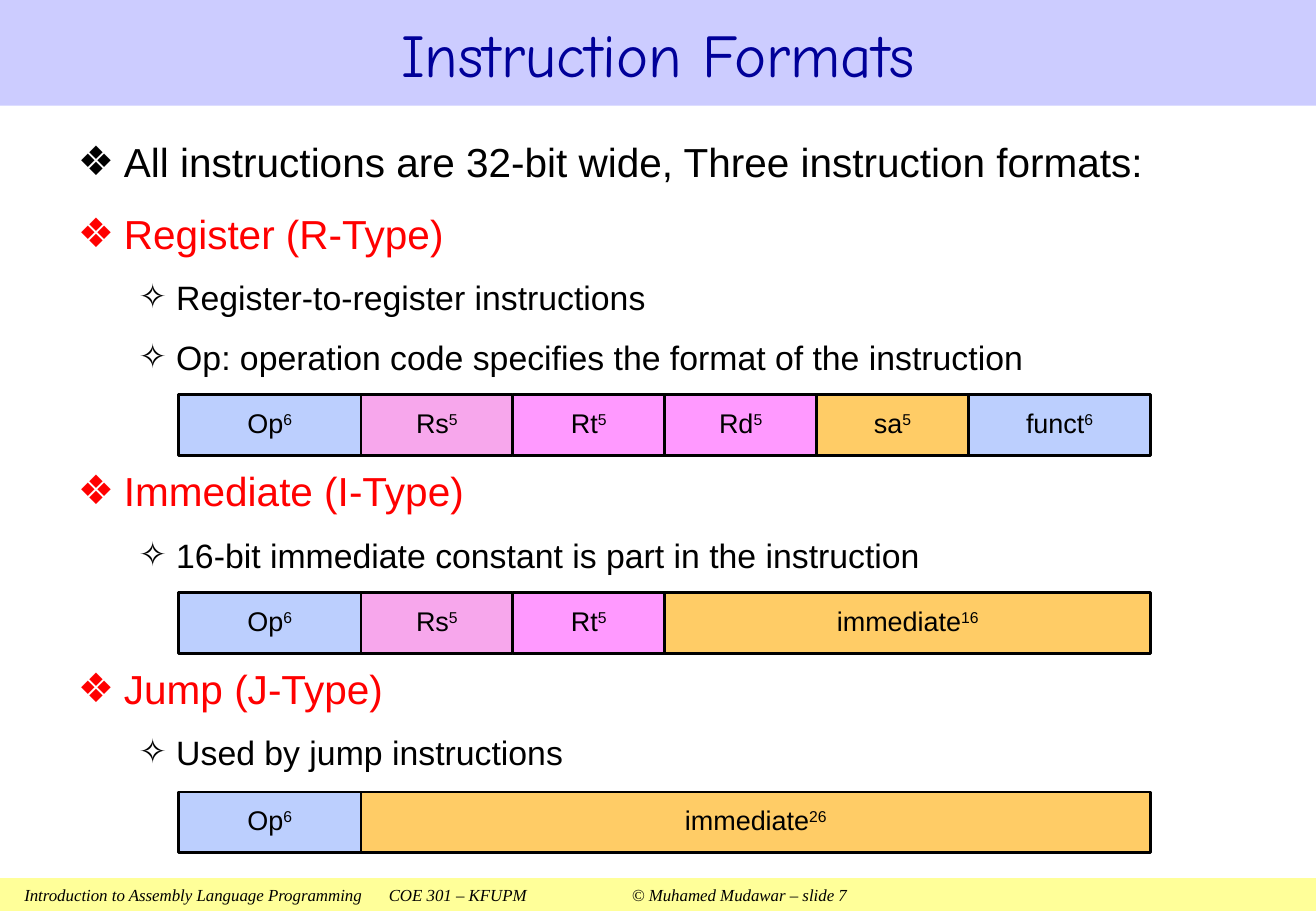
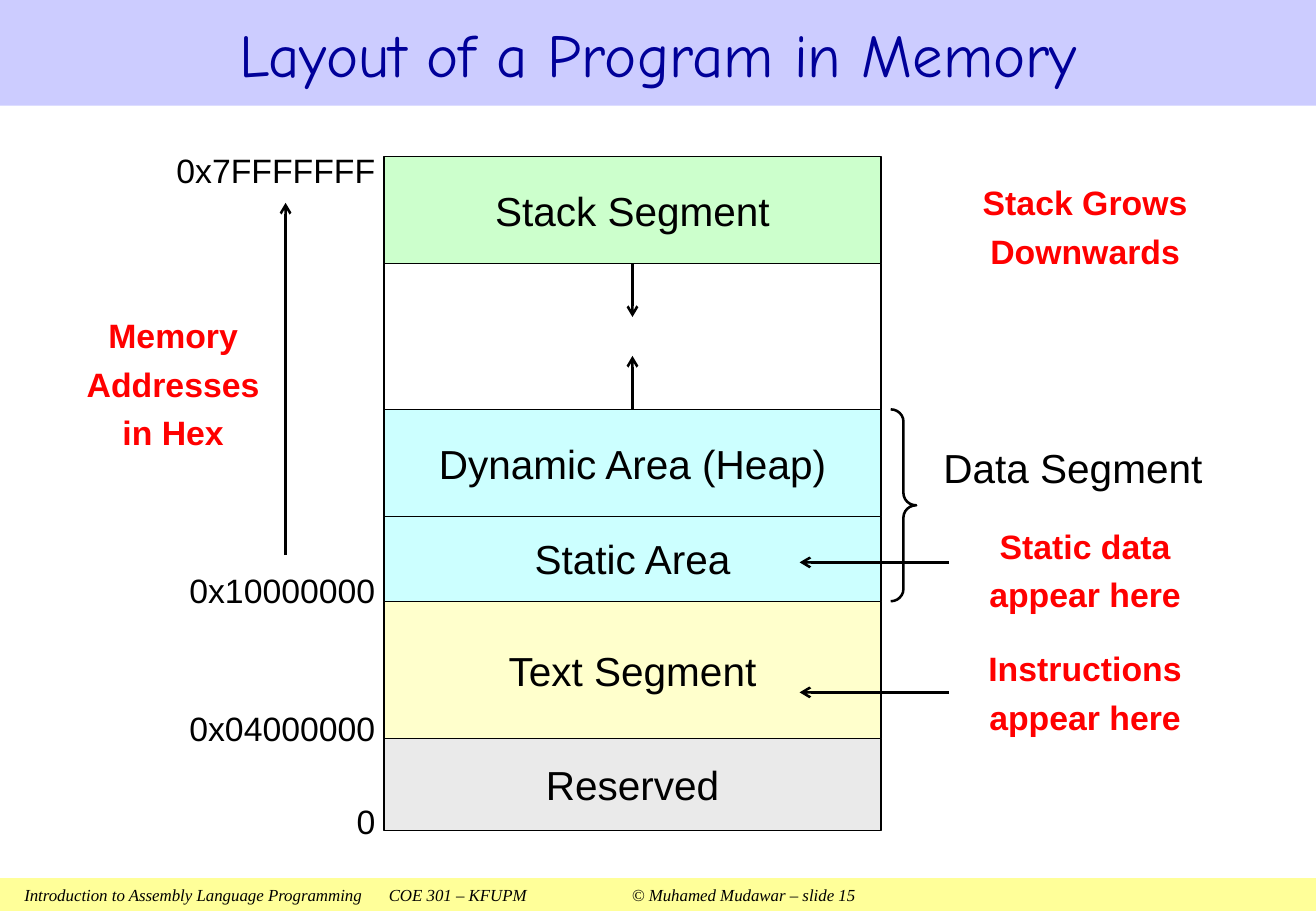
from itertools import accumulate

from lxml import etree
from pptx import Presentation
from pptx.dml.color import RGBColor
from pptx.enum.shapes import MSO_CONNECTOR, MSO_SHAPE
from pptx.enum.text import MSO_ANCHOR, MSO_AUTO_SIZE, PP_ALIGN
from pptx.oxml.ns import qn
from pptx.util import Inches, Pt

RECT, BRACE = MSO_SHAPE.RECTANGLE, MSO_SHAPE.RIGHT_BRACE
STRAIGHT = MSO_CONNECTOR.STRAIGHT
LEFT, CENTER, RIGHT = PP_ALIGN.LEFT, PP_ALIGN.CENTER, PP_ALIGN.RIGHT
TOP, MIDDLE = MSO_ANCHOR.TOP, MSO_ANCHOR.MIDDLE
NO_AUTOFIT = MSO_AUTO_SIZE.NONE

COLORS = {
    "black": "000000", "red": "FF0000", "title": "000099",
    "title band": "CCCCFF", "footer band": "FFFF99",
    "blue": "BCCFFE", "rose": "F7A7EC", "pink": "FF99FF", "orange": "FFCC66",
    "stack": "CCFFCC", "data": "CCFFFF", "text": "FFFFCC", "reserved": "EAEAEA",
}
SLIDE_W, SLIDE_H = 10.83, 7.5
TITLE_H, FOOTER_H = 0.87, 0.27
FOOTER = ("Introduction to Assembly Language Programming\tCOE 301 – KFUPM"
          "\t© Muhamed Mudawar – slide {}")
FOOTER_TABS = (3, 5)

# Slide 7: (level, text, colour, space before in points)
FORMAT_LIST = [
    (0, "All instructions are 32-bit wide, Three instruction formats:", "black", 0),
    (0, "Register (R-Type)", "red", 11),
    (1, "Register-to-register instructions", "black", 9),
    (1, "Op: operation code specifies the format of the instruction", "black", 9),
    (0, "Immediate (I-Type)", "red", 50),
    (1, "16-bit immediate constant is part in the instruction", "black", 9),
    (0, "Jump (J-Type)", "red", 50),
    (1, "Used by jump instructions", "black", 9),
]
# Per level: bullet, left margin, hanging indent, text size
LEVELS = [("❖", 0.38, -0.38, 24), ("✧", 0.81, -0.31, 20)]
# Top of each format, then its fields: (name, bits, colour)
OP, RS, RT = ("Op", 6, "blue"), ("Rs", 5, "rose"), ("Rt", 5, "pink")
FORMATS = [
    (3.25, [OP, RS, RT, ("Rd", 5, "pink"), ("sa", 5, "orange"),
            ("funct", 6, "blue")]),
    (4.88, [OP, RS, RT, ("immediate", 16, "orange")]),
    (6.52, [OP, ("immediate", 26, "orange")]),
]
FIELD_LEFT, FIELD_H, BIT_W = 1.47, 0.5, 0.25

# Slide 15: (segment, height, colour), from the highest address down
SEGMENTS = [
    ("Stack Segment", 0.88, "stack"),
    ("", 1.2, None),
    ("Dynamic Area (Heap)", 0.88, "data"),
    ("Static Area", 0.7, "data"),
    ("Text Segment", 1.13, "text"),
    ("Reserved", 0.76, "reserved"),
]
MEMORY_LEFT, MEMORY_TOP, MEMORY_W = 3.16, 1.29, 4.09
# (address, index of the segment boundary, rise above it)
ADDRESSES = [("0x7FFFFFFF", 0, 0.06), ("0x10000000", 4, 0.26),
             ("0x04000000", 5, 0.25), ("0", 6, 0.25)]
NOTES = [
    (["Memory", "Addresses", "in Hex"], (0.57, 2.43, 1.71, 1.39)),
    (["Stack Grows", "Downwards"], (7.94, 1.36, 1.98, 0.94)),
    (["Static data", "appear here"], (7.94, 4.19, 1.98, 0.94)),
    (["Instructions", "appear here"], (7.94, 5.2, 1.98, 0.94)),
]
NOTE_ARROW_YS = (4.63, 5.7)


def rgb(name):
    """Return the named colour."""
    return RGBColor.from_string(COLORS[name])


def write(paragraph, text, size=20, font="Arial", color="black", bold=False,
          italic=False, align=LEFT, spacing=None, raised=""):
    """Put formatted text in a paragraph, with an optional superscript."""
    paragraph.alignment = align
    if spacing:
        paragraph.line_spacing = spacing
    for part in filter(None, (text, raised)):
        run = paragraph.add_run()
        run.text = part
        run.font.size, run.font.name = Pt(size), font
        run.font.bold, run.font.italic = bold, italic
        run.font.color.rgb = rgb(color)
    if raised:
        run.font._element.set("baseline", "30000")


def write_lines(frame, lines, inset=(0, 0), anchor=MIDDLE, **style):
    """Fill a text frame, one paragraph a line; inset is (side, top)."""
    frame.word_wrap = True
    frame.vertical_anchor = anchor
    frame.margin_left = frame.margin_right = Inches(inset[0])
    frame.margin_top = frame.margin_bottom = Inches(inset[1])
    for i, line in enumerate(lines):
        write(frame.add_paragraph() if i else frame.paragraphs[0], line, **style)


def place(shape, box):
    """Move and size a placeholder."""
    shape.left, shape.top, shape.width, shape.height = map(Inches, box)


def add_box(slide, box, fill=None, line=None, kind=RECT):
    """Add a preset shape; line is the outline width in points."""
    shape = slide.shapes.add_shape(kind, *map(Inches, box))
    shape.shadow.inherit = False
    if fill:
        shape.fill.solid()
        shape.fill.fore_color.rgb = rgb(fill)
    else:
        shape.fill.background()
    if line:
        shape.line.color.rgb = rgb("black")
        shape.line.width = Pt(line)
    else:
        shape.line.fill.background()
    return shape


def add_label(slide, box, lines, **style):
    """Add a text box."""
    label = slide.shapes.add_textbox(*map(Inches, box))
    write_lines(label.text_frame, lines, **style)


def add_arrow(slide, start, end):
    """Add a line with an open arrowhead at its end."""
    arrow = slide.shapes.add_connector(STRAIGHT, *map(Inches, start + end))
    arrow.line.color.rgb = rgb("black")
    arrow.line.width = Pt(1.5)
    etree.SubElement(arrow.line._get_or_add_ln(), qn("a:tailEnd"), type="arrow")
    etree.SubElement(arrow._element.spPr, qn("a:effectLst"))


def add_slide(prs, layout, title, number):
    """Add a slide with the shared footer and title bands."""
    slide = prs.slides.add_slide(prs.slide_layouts[layout])
    footer = add_box(slide, (0, SLIDE_H - FOOTER_H, SLIDE_W, FOOTER_H), "footer band")
    write_lines(footer.text_frame, [FOOTER.format(number)], inset=(0.2, 0.05),
                size=10, font="Times New Roman", italic=True)
    tabs = etree.SubElement(footer.text_frame.paragraphs[0]._p.get_or_add_pPr(),
                            qn("a:tabLst"))
    for stop in FOOTER_TABS:
        etree.SubElement(tabs, qn("a:tab"), pos=str(Inches(stop)), algn="l")
    heading = slide.shapes.title
    place(heading, (0, 0, SLIDE_W, TITLE_H))
    heading.fill.solid()
    heading.fill.fore_color.rgb = rgb("title band")
    write_lines(heading.text_frame, [title], inset=(0.1, 0.05), size=36,
                font="Comic Neue", color="title", align=CENTER)
    heading.text_frame.auto_size = NO_AUTOFIT
    return slide


def add_bullets(body, items):
    """Fill the body placeholder with the two-level list."""
    frame = body.text_frame
    frame.auto_size = NO_AUTOFIT
    for i, (level, text, color, before) in enumerate(items):
        bullet, margin, indent, size = LEVELS[level]
        paragraph = frame.add_paragraph() if i else frame.paragraphs[0]
        paragraph.level = level
        paragraph.space_before, paragraph.space_after = Pt(before), Pt(0)
        write(paragraph, text, size=size, color=color, spacing=1.1)
        props = paragraph._p.get_or_add_pPr()
        props.set("marL", str(Inches(margin)))
        props.set("indent", str(Inches(indent)))
        etree.SubElement(props, qn("a:buChar"), char=bullet)


def build_formats(prs):
    """Build the slide on instruction formats."""
    slide = add_slide(prs, 1, "Instruction Formats", 7)
    body = slide.placeholders[1]
    place(body, (0.54, 1.04, 9.75, 6.05))
    add_bullets(body, FORMAT_LIST)
    for top, fields in FORMATS:
        left = FIELD_LEFT
        for name, bits, color in fields:
            width = bits * BIT_W
            field = add_box(slide, (left, top, width, FIELD_H), color, 1.5)
            write_lines(field.text_frame, [name], inset=(0, 0.1), size=16,
                        align=CENTER, spacing=0.85, raised=str(bits))
            left += width


def build_memory(prs):
    """Build the slide on the memory layout."""
    slide = add_slide(prs, 5, "Layout of a Program in Memory", 15)
    edges = list(accumulate((height for _, height, _ in SEGMENTS),
                            initial=MEMORY_TOP))
    for (name, height, color), top in zip(SEGMENTS, edges):
        segment = add_box(slide, (MEMORY_LEFT, top, MEMORY_W, height), color, 0.75)
        if name:
            write_lines(segment.text_frame, [name], size=24, align=CENTER)
    for address, edge, rise in ADDRESSES:
        add_label(slide, (1.25, edges[edge] - rise, 1.84, 0.31), [address],
                  anchor=TOP, align=RIGHT)

    heap_top, data_bottom = edges[2], edges[4]
    brace = add_box(slide, (7.33, heap_top, 0.21, data_bottom - heap_top),
                    line=1.5, kind=BRACE)
    brace.adjustments[0], brace.adjustments[1] = 0.48, 0.5
    add_label(slide, (7.6, 3.5, 2.46, 0.69), ["Data Segment"], size=24, align=CENTER)

    middle, growth = MEMORY_LEFT + MEMORY_W / 2, 0.44
    add_arrow(slide, (middle, heap_top), (middle, heap_top - growth))
    add_arrow(slide, (middle, edges[1]), (middle, edges[1] + growth))
    add_arrow(slide, (2.35, 4.57), (2.35, 1.67))
    for lines, box in NOTES:
        add_label(slide, box, lines, color="red", bold=True, align=CENTER, spacing=1.2)
    for y in NOTE_ARROW_YS:
        add_arrow(slide, (7.81, y), (6.58, y))


prs = Presentation()
prs.slide_width, prs.slide_height = Inches(SLIDE_W), Inches(SLIDE_H)
build_formats(prs)
build_memory(prs)
prs.save("out.pptx")
